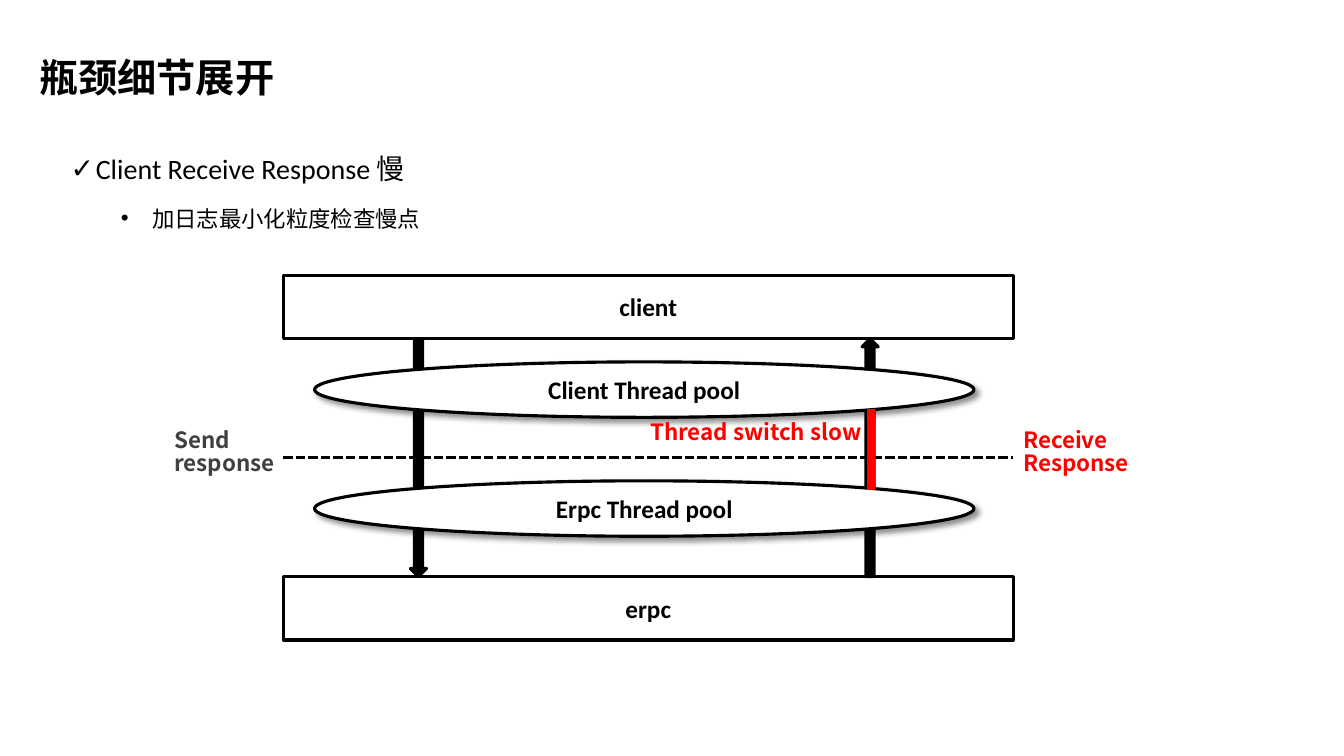
from lxml import etree
from pptx import Presentation
from pptx.dml.color import RGBColor
from pptx.enum import dml, shapes, text
from pptx.oxml import ns
from pptx.util import Inches, Pt

COLORS = {"ink": "000000", "paper": "FFFFFF", "alert": "FF0000", "muted": "404040"}
LATIN, CJK = "Calibri", "Noto Sans CJK SC"
BOX_LEFT, BOX_W, BOX_H = 2.81, 7.24, 0.63
POOL_LEFT, POOL_W, POOL_H = 3.12, 6.54, 0.55
MID_Y = 4.54
ARROW_LEN, ARROW_H = 2.36, 0.16


def color(name):
    return RGBColor.from_string(COLORS[name])


def add_xml(parent, tag, **attrs):
    return etree.SubElement(parent, ns.qn(tag), attrs)


def place(sp, left, top, width, height):
    sp.left, sp.top = Inches(left), Inches(top)
    sp.width, sp.height = Inches(width), Inches(height)


def format_text(p, size, font=LATIN, ink="ink", bold=False):
    for r in p.runs:
        r.font.size, r.font.name, r.font.bold = Pt(size), font, bold
        r.font.color.rgb = color(ink)


def set_bullet(p, char, margin, indent):
    pPr = p._p.get_or_add_pPr()
    pPr.set("marL", str(Inches(margin)))
    pPr.set("indent", str(Inches(indent)))
    add_xml(pPr, "a:buFont", typeface="Arial")
    add_xml(pPr, "a:buChar", char=char)


def add_title(s, title):
    sp = s.shapes.title
    place(sp, 0.29, 0.5, 11.5, 0.59)
    tf = sp.text_frame
    tf.text = title
    tf.auto_size = text.MSO_AUTO_SIZE.NONE
    tf.vertical_anchor = text.MSO_ANCHOR.MIDDLE
    p = tf.paragraphs[0]
    p.alignment, p.line_spacing = text.PP_ALIGN.LEFT, 0.9
    format_text(p, 28, bold=True)


def add_bullets(s, items):
    sp = s.placeholders[1]
    place(sp, 0.6, 1.39, 11.18, 5.83)
    tf = sp.text_frame
    tf.text = "\n".join(item[0] for item in items)
    tf.auto_size = text.MSO_AUTO_SIZE.NONE
    for p, (_, level, size, char, margin, indent) in zip(tf.paragraphs, items):
        p.level, p.line_spacing, p.space_before = level, 1.2, Pt(10)
        set_bullet(p, char, margin, indent)
        format_text(p, size)


def add_outlined(s, kind, box, fill=None, label=""):
    sp = s.shapes.add_shape(kind, *map(Inches, box))
    sp.shadow.inherit = False
    if fill:
        sp.fill.solid()
        sp.fill.fore_color.rgb = color(fill)
    else:
        sp.fill.background()
    sp.line.color.rgb, sp.line.width = color("ink"), Pt(2.25)
    if label:
        tf = sp.text_frame
        tf.text = label
        tf.vertical_anchor = text.MSO_ANCHOR.MIDDLE
        tf.paragraphs[0].alignment = text.PP_ALIGN.CENTER
        format_text(tf.paragraphs[0], 18, bold=True)
    return sp


def add_pool(s, top, label):
    sp = add_outlined(s, shapes.MSO_SHAPE.OVAL, (POOL_LEFT, top, POOL_W, POOL_H), "paper", label)
    effects = sp._element.spPr.find(ns.qn("a:effectLst"))
    shadow = add_xml(effects, "a:outerShdw", blurRad=str(Pt(4)), dist=str(Pt(3)),
                     dir="2700000", algn="tl", rotWithShape="0")
    add_xml(add_xml(shadow, "a:srgbClr", val=COLORS["ink"]), "a:alpha", val="43000")


def add_arrow(s, center_x, rotation):
    """Vertical block arrow centred on the dashed line."""
    box = (center_x - ARROW_LEN / 2, MID_Y - ARROW_H / 2, ARROW_LEN, ARROW_H)
    add_outlined(s, shapes.MSO_SHAPE.RIGHT_ARROW, box, "ink").rotation = rotation


def add_line(s, start, end, ink, width, dash=None):
    c = s.shapes.add_connector(shapes.MSO_CONNECTOR.STRAIGHT, *map(Inches, start + end))
    c.line.color.rgb, c.line.width = color(ink), Pt(width)
    if dash:
        c.line.dash_style = dash
    add_xml(c._element.spPr, "a:effectLst")


def add_label(s, box, label, ink):
    tf = s.shapes.add_textbox(*map(Inches, box)).text_frame
    tf.word_wrap = True
    tf.text = label
    for p in tf.paragraphs:
        p.line_spacing = 0.85
        format_text(p, 16, CJK, ink, True)


def main():
    prs = Presentation()
    prs.slide_width, prs.slide_height = Inches(13.33), Inches(7.5)
    s = prs.slides.add_slide(prs.slide_layouts[1])

    add_title(s, "瓶颈细节展开")
    add_bullets(s, [
        ("Client Receive Response 慢", 0, 20, "✓", 0.25, -0.25),
        ("加日志最小化粒度检查慢点", 1, 16, "•", 0.81, -0.31),
    ])

    for top, label in ((2.73, "client"), (5.72, "erpc")):
        add_outlined(s, shapes.MSO_SHAPE.RECTANGLE, (BOX_LEFT, top, BOX_W, BOX_H), label=label)
    for center_x, rotation in ((4.15, 90), (8.63, 270)):
        add_arrow(s, center_x, rotation)
    add_line(s, (BOX_LEFT, MID_Y), (BOX_LEFT + BOX_W, MID_Y), "ink", 2.25,
             dml.MSO_LINE.SQUARE_DOT)
    for top, label in ((3.59, "Client Thread pool"), (4.77, "Erpc Thread pool")):
        add_pool(s, top, label)
    add_line(s, (8.64, 4.06), (8.64, 4.86), "alert", 6)

    add_label(s, (1.63, 4.22, 1.58, 0.64), "Send\nresponse", "muted")
    add_label(s, (10.05, 4.22, 1.58, 0.64), "Receive\nResponse", "alert")
    add_label(s, (6.35, 4.14, 2.36, 0.37), "Thread switch slow", "alert")

    prs.save("out.pptx")


if __name__ == "__main__":
    main()
